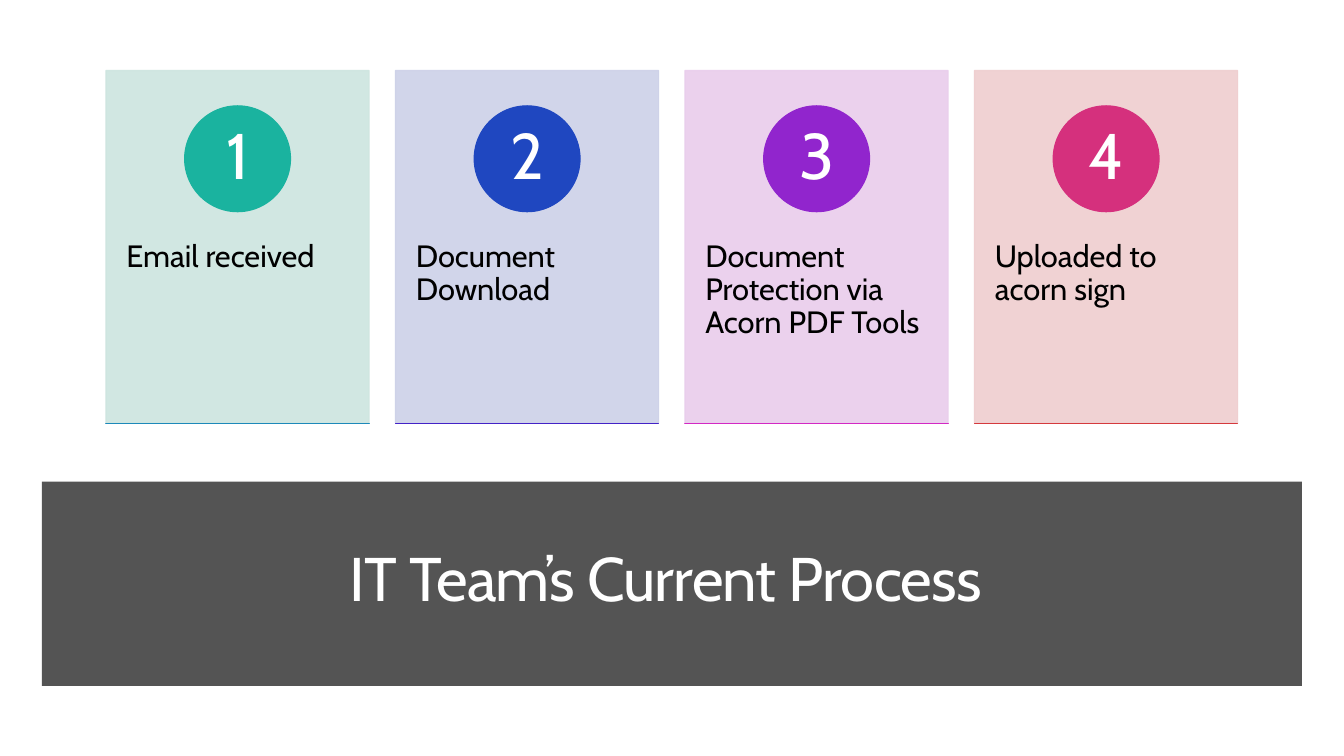
from lxml import etree
from pptx import Presentation
from pptx.dml.color import RGBColor
from pptx.enum import shapes, text
from pptx.oxml.ns import qn
from pptx.util import Pt

# Content: step text, card colour, circle colour, baseline colour
TITLE = "IT Team’s Current Process "
STEPS = [
    ("Email received", "CDE5DF", "1AB39F", "1D89BA"),
    ("Document Download", "CDD1E8", "1F47C0", "4322C7"),
    ("Document Protection via Acorn PDF Tools", "E9CDEC", "9125CD", "D329C4"),
    ("Uploaded to acorn sign", "EFCECF", "D5307D", "D5393D"),
]

# Layout in points
FONT = "Cabin"
CARD_LEFT, CARD_TOP, CARD_WIDTH, CARD_HEIGHT = 75.7, 50.4, 188, 252
CARD_PITCH = 206.8
CIRCLE_TOP, CIRCLE_SIZE = 75.6, 75.6
NUMBER_SIZE = 53.46
LABEL_TOP, LABEL_HEIGHT = 146.2, 151.2
RECT, OVAL = shapes.MSO_SHAPE.RECTANGLE, shapes.MSO_SHAPE.OVAL


def rgb(color):
    return RGBColor.from_string(color)


def set_opacity(shape, percent):
    for color in shape.element.spPr.iter(qn("a:srgbClr")):
        etree.SubElement(color, qn("a:alpha")).set("val", str(percent * 1000))


def add_block(page, kind, left, top, width, height, color, outlined=True):
    block = page.shapes.add_shape(kind, Pt(left), Pt(top), Pt(width), Pt(height))
    block.shadow.inherit = False
    block.fill.solid()
    block.fill.fore_color.rgb = rgb(color)
    if outlined:
        block.line.color.rgb = rgb(color)
        block.line.width = Pt(0.85)
    else:
        block.line.fill.background()
    return block


def write(box, words, size, color, align, anchor, inset_x, inset_y):
    frame = box.text_frame
    frame.word_wrap = True
    frame.auto_size = text.MSO_AUTO_SIZE.NONE
    frame.vertical_anchor = anchor
    frame.margin_left = frame.margin_right = Pt(inset_x)
    frame.margin_top = frame.margin_bottom = Pt(inset_y)
    para = frame.paragraphs[0]
    para.alignment = align
    para.line_spacing = 0.9
    para.font.name = FONT
    para.font.size = Pt(size)
    para.font.color.rgb = rgb(color)
    span = para.add_run()
    span.text = words
    return span


def add_text(page, left, top, width, height, *style):
    box = page.shapes.add_textbox(Pt(left), Pt(top), Pt(width), Pt(height))
    write(box, *style)


def add_step(page, index, step):
    label, card_color, circle_color, base_color = step
    left = CARD_LEFT + index * CARD_PITCH
    middle = left + CARD_WIDTH / 2

    card = add_block(page, RECT, left, CARD_TOP, CARD_WIDTH, CARD_HEIGHT, card_color)
    set_opacity(card, 90)
    add_text(page, left, LABEL_TOP, CARD_WIDTH, LABEL_HEIGHT, label, 22, "000000",
             text.PP_ALIGN.LEFT, text.MSO_ANCHOR.TOP, 14.6, 25.6)

    # Numbered circle
    add_block(page, OVAL, middle - CIRCLE_SIZE / 2, CIRCLE_TOP,
              CIRCLE_SIZE, CIRCLE_SIZE, circle_color)
    add_text(page, middle - NUMBER_SIZE / 2,
             CIRCLE_TOP + (CIRCLE_SIZE - NUMBER_SIZE) / 2, NUMBER_SIZE, NUMBER_SIZE,
             str(index + 1), 46, "FFFFFF",
             text.PP_ALIGN.CENTER, text.MSO_ANCHOR.MIDDLE, 5.9, 1)

    # Hairline bar under the card
    add_block(page, RECT, left, CARD_TOP + CARD_HEIGHT, CARD_WIDTH, 0.01, base_color)


def main():
    deck = Presentation()
    deck.slide_width, deck.slide_height = Pt(960), Pt(540)
    page = deck.slides.add_slide(deck.slide_layouts.get_by_name("Title Only"))

    # Title band, kept behind the title
    title = page.shapes.title
    band = add_block(page, RECT, 30, 344, 900, 146, "545454", outlined=False)
    title.element.addprevious(band.element)
    title.left, title.top, title.width, title.height = map(Pt, (43.8, 362, 872.6, 107.3))
    span = write(title, TITLE, 44, "FFFFFF", text.PP_ALIGN.CENTER,
                 text.MSO_ANCHOR.MIDDLE, 7.2, 3.6)
    span.font._element.set("spc", "-60") if hasattr(span.font, "_element") else \
        span._r.get_or_add_rPr().set("spc", "-60")

    for index, step in enumerate(STEPS):
        add_step(page, index, step)

    deck.save("out.pptx")


if __name__ == "__main__":
    main()
